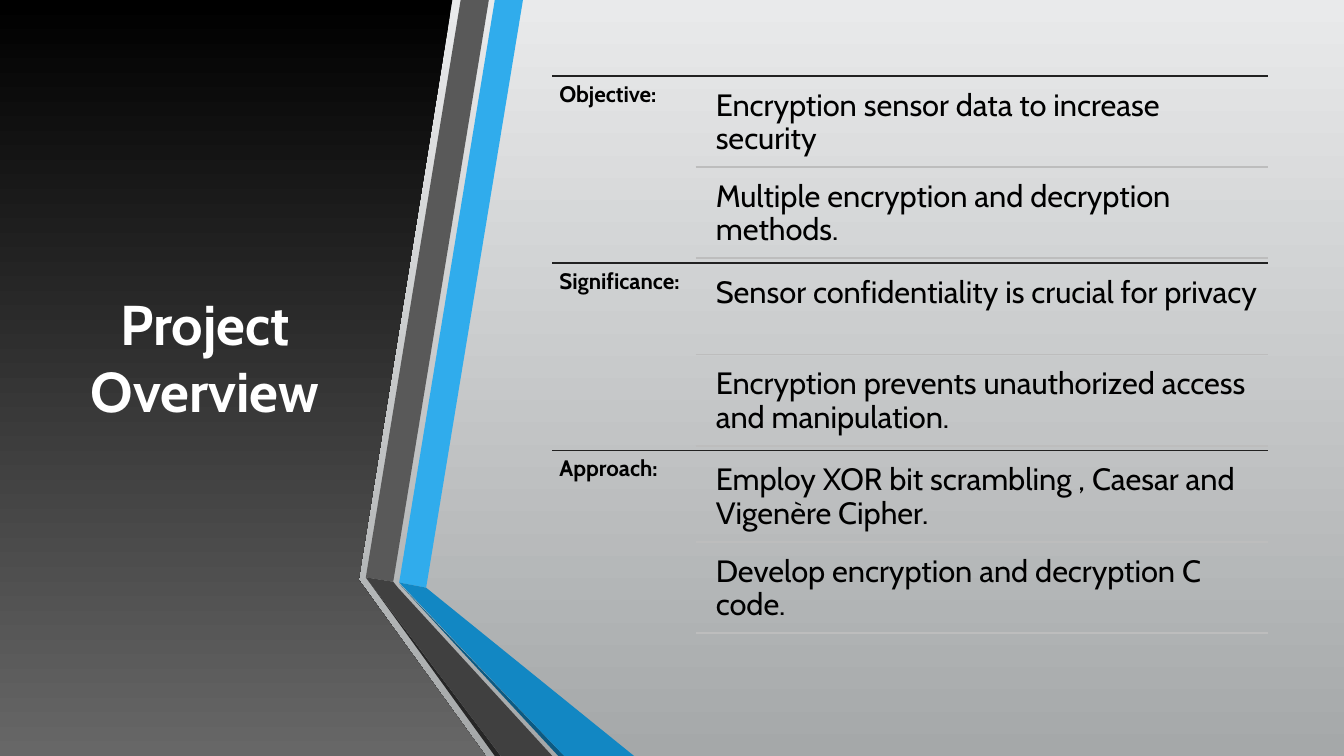
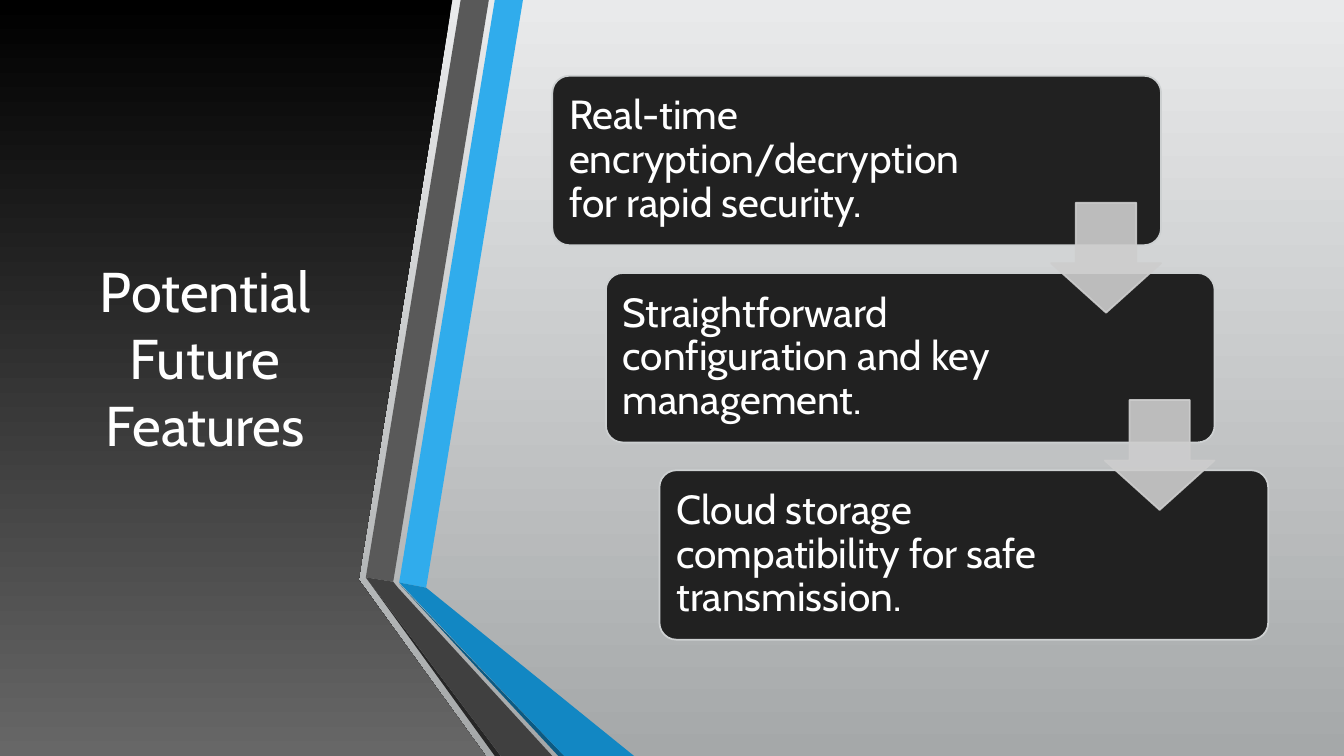
from lxml.etree import SubElement
from pptx import Presentation
from pptx.dml.color import RGBColor
from pptx.enum.shapes import MSO_CONNECTOR, MSO_SHAPE
from pptx.enum.text import MSO_ANCHOR, MSO_AUTO_SIZE, PP_ALIGN
from pptx.oxml.ns import qn
from pptx.util import Cm, Pt

FONT = "Cabin"
WHITE = RGBColor(0xFF, 0xFF, 0xFF)
BLACK = RGBColor(0x00, 0x00, 0x00)
INK = RGBColor(0x21, 0x21, 0x21)
SMOKE = RGBColor(0x67, 0x67, 0x67)
PALE = RGBColor(0xE9, 0xEA, 0xEB)
STEEL = RGBColor(0xA5, 0xA8, 0xA9)
RULE = RGBColor(0xBD, 0xBD, 0xBD)
EDGE = RGBColor(0xCD, 0xD0, 0xD1)
ARROW = RGBColor(0xCD, 0xCD, 0xCD)
BLUE = RGBColor(0x30, 0xAC, 0xEC)
DEEP = RGBColor(0x12, 0x87, 0xC3)
NAVY = RGBColor(0x0C, 0x5A, 0x82)
GRAY = RGBColor(0x59, 0x59, 0x59)
COAL = RGBColor(0x40, 0x40, 0x40)
SHADE = RGBColor(0x26, 0x26, 0x26)

WIDTH, HEIGHT = 33.87, 19.05
LEFT, TOP, RIGHT = 13.92, 1.91, 31.95

PANEL = [(0, 0), (11.4, 0), (9.04, 14.61), (12.24, HEIGHT), (0, HEIGHT)]
BANDS = [
    (BLUE, [(10.06, 14.68), (10.74, 14.81), (13.18, 0), (12.47, 0)]),
    (GRAY, [(12.32, 0), (11.61, 0), (9.22, 14.55), (9.91, 14.66)]),
    (SHADE, [(9.22, 14.55), (12.47, HEIGHT), (12.62, HEIGHT)]),
    (NAVY, [(10.06, 14.71), (14.07, HEIGHT), (14.22, HEIGHT)]),
    (DEEP, [(10.06, 14.68), (14.22, HEIGHT), (15.98, HEIGHT), (10.74, 14.81)]),
    (COAL, [(13.92, HEIGHT), (10.03, 14.81), (9.91, 14.66), (9.22, 14.55), (12.62, HEIGHT)]),
]

TOPICS = [
    ("Objective:", ["Encryption sensor data to increase security",
                    "Multiple encryption and decryption methods."]),
    ("Significance:", ["Sensor confidentiality is crucial for privacy",
                       "Encryption prevents unauthorized access and manipulation."]),
    ("Approach:", ["Employ XOR bit scrambling , Caesar and Vigenère Cipher.",
                   "Develop encryption and decryption C code."]),
]
STEPS = [
    "Real-time encryption/decryption for rapid security.",
    "Straightforward configuration and key management.",
    "Cloud storage compatibility for safe transmission.",
]


def blend(fill, upper, lower):
    fill.gradient()
    fill.gradient_angle = 270
    for stop, place, color in zip(fill.gradient_stops, (0, 1), (upper, lower)):
        stop.position = place
        stop.color.rgb = color


def write(frame, text, size, color, bold=False, pads=(0.25, 0.13, 0.25, 0.13), lead=0.9):
    frame.word_wrap = True
    frame.auto_size = MSO_AUTO_SIZE.NONE
    (frame.margin_left, frame.margin_top,
     frame.margin_right, frame.margin_bottom) = map(Cm, pads)
    frame.text = text
    para = frame.paragraphs[0]
    para.alignment = PP_ALIGN.LEFT
    para.line_spacing = lead
    font = para.font
    font.name, font.size, font.bold = FONT, Pt(size), bold
    font.color.rgb = color
    return para


def outline(slide, points):
    spots = [(Cm(x), Cm(y)) for x, y in points]
    pen = slide.shapes.build_freeform(*spots[0])
    pen.add_line_segments(spots[1:], close=True)
    shape = pen.convert_to_shape()
    shape.shadow.inherit = False
    shape.line.fill.background()
    return shape


def label(slide, text, x, y, w, h, size, pad, bold=False):
    box = slide.shapes.add_textbox(Cm(x), Cm(y), Cm(w), Cm(h))
    write(box.text_frame, text, size, BLACK, bold, (pad,) * 4)


def rule(slide, x, y, color):
    line = slide.shapes.add_connector(
        MSO_CONNECTOR.STRAIGHT, Cm(x), Cm(y), Cm(RIGHT), Cm(y))
    line.line.color.rgb = color
    line.line.width = Pt(1.25)
    SubElement(line.element.spPr, qn("a:effectLst"))


def block(slide, kind, x, y, w, h, fill, edge):
    shape = slide.shapes.add_shape(kind, Cm(x), Cm(y), Cm(w), Cm(h))
    shape.shadow.inherit = False
    shape.fill.solid()
    shape.fill.fore_color.rgb = fill
    shape.line.color.rgb = edge
    shape.line.width = Pt(1.25)
    return shape


def card(slide, text, x, y, w, h):
    shape = block(slide, MSO_SHAPE.ROUNDED_RECTANGLE, x, y, w, h, INK, EDGE)
    shape.adjustments[0] = 0.1
    shape.text_frame.vertical_anchor = MSO_ANCHOR.MIDDLE
    write(shape.text_frame, text, 29, WHITE, pads=(0.3, 0.3, 4.43, 0.3))


def arrow(slide, x, y, size):
    shape = block(slide, MSO_SHAPE.DOWN_ARROW, x, y, size, size, ARROW, ARROW)
    shape.adjustments[0] = 0.55
    shape.adjustments[1] = 0.45
    for color in shape.element.spPr.iter(qn("a:srgbClr")):
        SubElement(color, qn("a:alpha"), val="90000")


def start(deck, text, bold=False):
    slide = deck.slides.add_slide(deck.slide_layouts[5])
    blend(outline(slide, PANEL).fill, BLACK, SMOKE)
    for color, points in BANDS:
        band = outline(slide, points)
        band.fill.solid()
        band.fill.fore_color.rgb = color
    title = slide.shapes.title
    slide.shapes.element.append(title.element)
    title.left, title.top, title.width, title.height = map(Cm, (1.5, 1.91, 7.34, 14.17))
    title.text_frame.vertical_anchor = MSO_ANCHOR.MIDDLE
    write(title.text_frame, text, 40, WHITE, bold, lead=1.0).alignment = PP_ALIGN.CENTER
    return slide


def topics(slide):
    pitch, step, high = 4.72, 2.3, 2.18
    for row, (head, items) in enumerate(TOPICS):
        top = TOP + row * pitch
        rule(slide, LEFT, top, INK)
        label(slide, head, LEFT, top, 3.61, pitch, 16, 0.18, True)
        for col, item in enumerate(items):
            y = top + 0.12 + col * step
            label(slide, item, 17.81, y, RIGHT - 17.81, high, 22, 0.23)
            rule(slide, 17.53, y + high, RULE)


def steps(slide):
    wide, high, size = 15.34, 4.27, 2.77
    spots = [(LEFT + 1.35 * n, TOP + 4.97 * n) for n in range(len(STEPS))]
    for text, (x, y) in zip(STEPS, spots):
        card(slide, text, x, y, wide, high)
    for x, y in spots[:-1]:
        arrow(slide, x + wide - size, y + 3.2, size)


def main():
    deck = Presentation()
    deck.slide_width, deck.slide_height = Cm(WIDTH), Cm(HEIGHT)
    blend(deck.slide_master.background.fill, PALE, STEEL)
    topics(start(deck, "Project Overview", True))
    steps(start(deck, "Potential Future Features"))
    deck.save("out.pptx")


if __name__ == "__main__":
    main()
